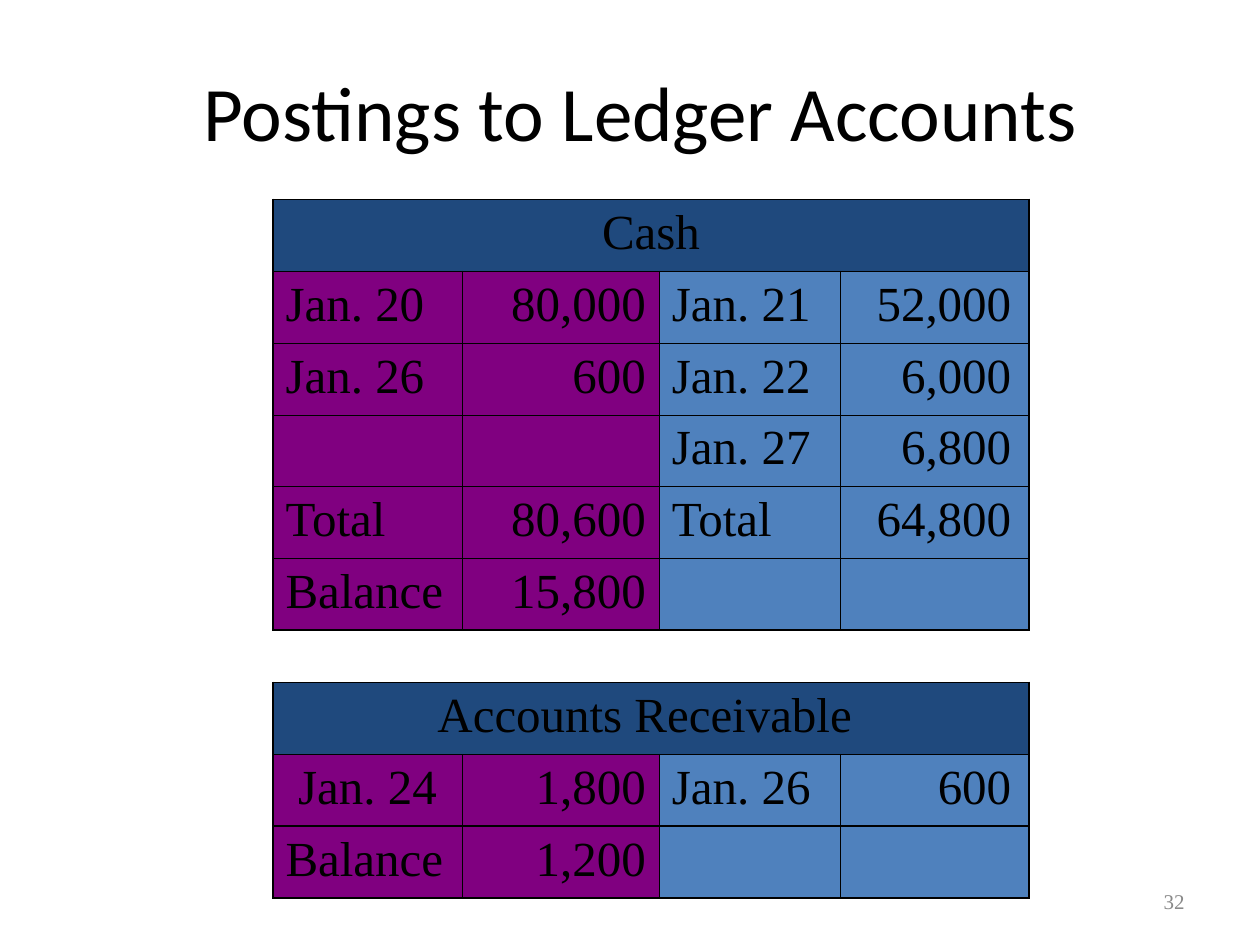
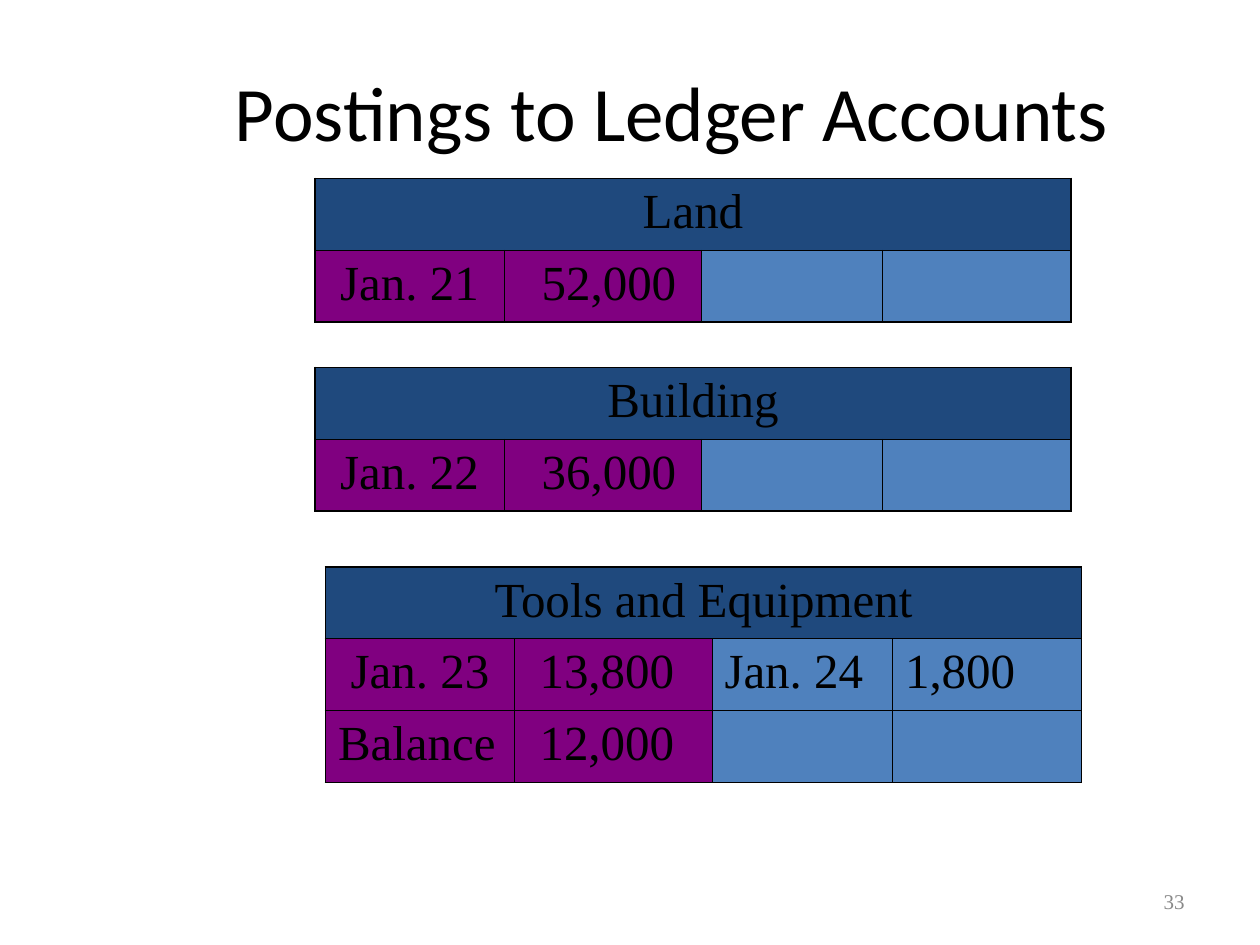
import lxml.etree
import pptx
import pptx.dml.color
import pptx.enum.text
import pptx.oxml.ns
import pptx.util

presentation = pptx.Presentation()
presentation.slide_width = pptx.util.Inches(10)
presentation.slide_height = pptx.util.Inches(7.5)
unit = presentation.slide_width / 120

colors = {
    "text": "000000",
    "border": "000000",
    "header": "1F497D",
    "debit": "800080",
    "credit": "4F81BD",
    "number": "898989",
}
align = pptx.enum.text.PP_ALIGN
column_widths = [18, 18.8, 17.2, 18]
column_fills = ["debit", "debit", "credit", "credit"]
row_height = 6.84
cell_margin = 1.2
thin, thick = 0.45, 1.08

ledger_slides = [
    {"number": "32", "title_left": 10, "accounts": [
        {"name": "Cash", "left": 26, "top": 19, "header_margin": 1.2,
         "date_margin": 1.2, "amount_margins": [1.3, 1.7],
         "credit_align": align.RIGHT, "inner_rule": thin,
         "rows": [
             ["Jan. 20", "80,000", "Jan. 21", "52,000"],
             ["Jan. 26", "600", "Jan. 22", "6,000"],
             ["", "", "Jan. 27", "6,800"],
             ["Total", "80,600", "Total", "64,800"],
             ["Balance", "15,800", "", ""],
         ]},
        {"name": "Accounts Receivable", "left": 26, "top": 65, "header_margin": 2.4,
         "date_margin": 2.4, "amount_margins": [1.3, 1.7],
         "credit_align": align.RIGHT, "inner_rule": thick,
         "rows": [
             ["Jan. 24", "1,800", "Jan. 26", "600"],
             ["Balance", "1,200", "", ""],
         ]},
    ]},
    {"number": "33", "title_left": 13, "accounts": [
        {"name": "Land", "left": 30, "top": 17, "header_margin": 1.2,
         "date_margin": 2.4, "amount_margins": [2.4, 2.4],
         "credit_align": align.RIGHT, "inner_rule": thin,
         "rows": [["Jan. 21", "52,000", "", ""]]},
        {"name": "Building", "left": 30, "top": 35, "header_margin": 1.2,
         "date_margin": 2.4, "amount_margins": [2.4, 2.4],
         "credit_align": align.RIGHT, "inner_rule": thin,
         "rows": [["Jan. 22", "36,000", "", ""]]},
        {"name": "Tools and Equipment", "left": 31, "top": 54, "header_margin": 1.2,
         "date_margin": 2.4, "amount_margins": [3.6, 1.2],
         "credit_align": align.LEFT, "inner_rule": thin,
         "rows": [
             ["Jan. 23", "13,800", "Jan. 24", "1,800"],
             ["Balance", "12,000", "", ""],
         ]},
    ]},
]


def write(text_frame, text, size, font_name, color, alignment):
    text_frame.text = text
    paragraph = text_frame.paragraphs[0]
    paragraph.alignment = alignment
    for run in paragraph.runs:
        run.font.size = pptx.util.Pt(size)
        run.font.name = font_name
        run.font.color.rgb = pptx.dml.color.RGBColor.from_string(colors[color])


def set_borders(cell, widths):
    properties = cell._tc.get_or_add_tcPr()
    for side, width in zip("LRTB", widths):
        line = lxml.etree.SubElement(properties, pptx.oxml.ns.qn("a:ln" + side))
        line.set("w", str(int(pptx.util.Pt(width))))
        fill = lxml.etree.SubElement(line, pptx.oxml.ns.qn("a:solidFill"))
        color = lxml.etree.SubElement(fill, pptx.oxml.ns.qn("a:srgbClr"))
        color.set("val", colors["border"])


for ledger in ledger_slides:
    slide = presentation.slides.add_slide(presentation.slide_layouts[6])

    labels = [
        ("Postings to Ledger Accounts", (ledger["title_left"], 3, 102, 15),
         44, "Calibri", "text", align.CENTER),
        (ledger["number"], (86, 83.4, 28, 4.8),
         12, "Times New Roman", "number", align.RIGHT),
    ]
    for text, place, size, font_name, color, alignment in labels:
        shape = slide.shapes.add_textbox(*[int(length * unit) for length in place])
        shape.text_frame.word_wrap = True
        shape.text_frame.vertical_anchor = pptx.enum.text.MSO_ANCHOR.MIDDLE
        write(shape.text_frame, text, size, font_name, color, alignment)

    for account in ledger["accounts"]:
        rows = [[account["name"], "", "", ""]] + account["rows"]
        place = (account["left"], account["top"], sum(column_widths), row_height * len(rows))
        table = slide.shapes.add_table(
            len(rows), len(column_widths), *[int(length * unit) for length in place]).table
        table.first_row = False
        table.horz_banding = False
        for column, width in zip(table.columns, column_widths):
            column.width = int(width * unit)
        for row in table.rows:
            row.height = int(row_height * unit)
        table.cell(0, 0).merge(table.cell(0, 3))

        for row_index, values in enumerate(rows):
            header = row_index == 0
            last = row_index == len(rows) - 1
            top_rule = thick if header else thin if row_index == 1 else account["inner_rule"]
            bottom_rule = thick if last else thin if header else account["inner_rule"]
            for column_index, text in enumerate(values):
                cell = table.cell(row_index, column_index)
                left_rule = thick if column_index == 0 else thin
                right_rule = thick if header or column_index == 3 else thin
                set_borders(cell, [left_rule, right_rule, top_rule, bottom_rule])
                cell.fill.solid()
                fill = "header" if header else column_fills[column_index]
                cell.fill.fore_color.rgb = pptx.dml.color.RGBColor.from_string(colors[fill])

                alignment, left_margin, right_margin = align.LEFT, cell_margin, cell_margin
                if header:
                    alignment, right_margin = align.CENTER, account["header_margin"]
                elif column_index % 2:
                    alignment = account["credit_align"] if column_index == 3 else align.RIGHT
                    right_margin = account["amount_margins"][column_index // 2]
                elif column_index == 0 and text.startswith("Jan."):
                    left_margin = account["date_margin"]
                cell.margin_left = int(left_margin * unit)
                cell.margin_right = int(right_margin * unit)
                if text:
                    write(cell.text_frame, text, 28, "Times New Roman", "text", alignment)

presentation.save("out.pptx")
